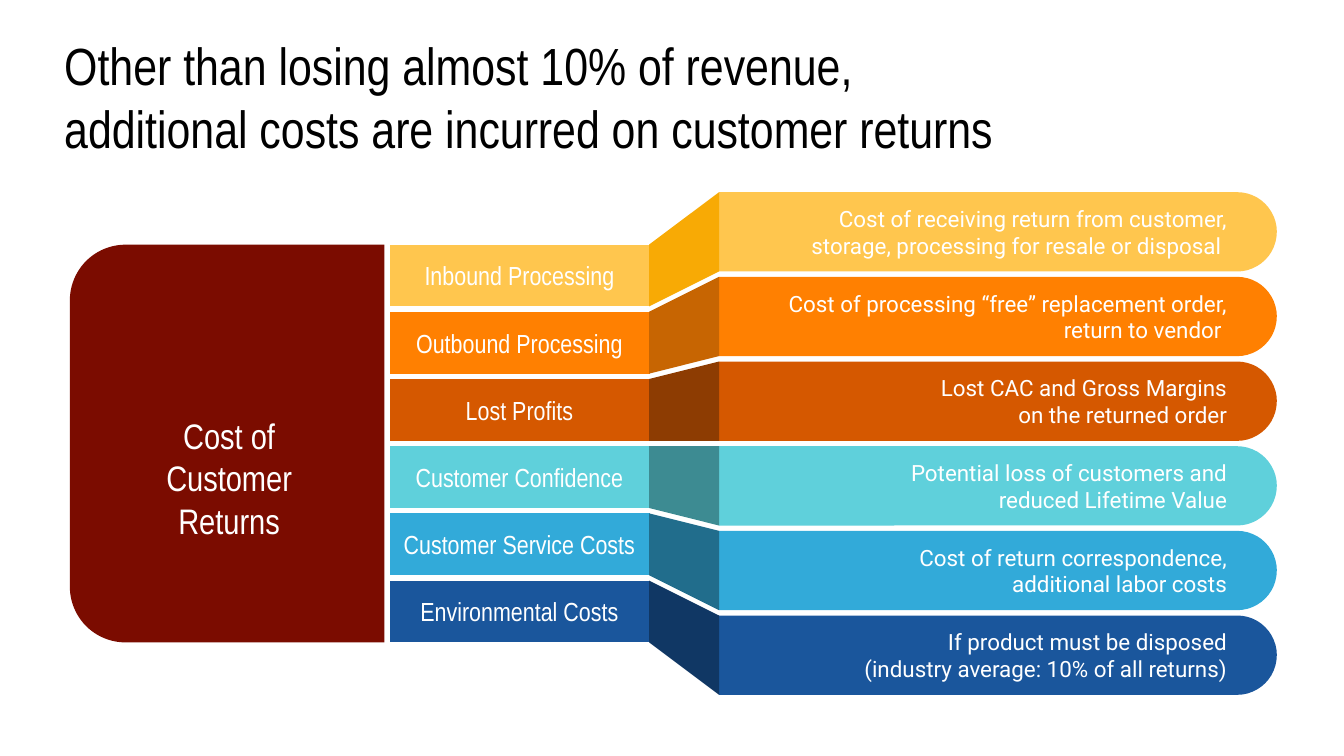
import pptx
import pptx.util
import pptx.dml.color
import pptx.enum.shapes
import pptx.enum.text

Inches = pptx.util.Inches
SHAPE = pptx.enum.shapes.MSO_SHAPE
ALIGN = pptx.enum.text.PP_ALIGN

# Content
TITLE = ["Other than losing almost 10% of revenue,",
         "additional costs are incurred on customer returns"]
ROOT = ["Cost of Customer Returns"]
# label, explanation lines, bar colour, fold colour
COSTS = [
    ("Inbound Processing",
     ["Cost of receiving return from customer,",
      "storage, processing for resale or disposal "], "FFC64E", "F8AA05"),
    ("Outbound Processing",
     ["Cost of processing “free” replacement order, return to vendor "],
     "FF8001", "C76502"),
    ("Lost Profits",
     ["Lost CAC and Gross Margins", "on the returned order"],
     "D55800", "8D3C02"),
    ("Customer Confidence",
     ["Potential loss of customers and", "reduced Lifetime Value"],
     "5FD0DB", "3D8B92"),
    ("Customer Service Costs",
     ["Cost of return correspondence,", "additional labor costs"],
     "32AAD9", "216D8C"),
    ("Environmental Costs",
     ["If product must be disposed", "(industry average: 10% of all returns)"],
     "1A569C", "103764"),
]

# Layout
LABEL_X, LABEL_W, LABEL_H = 2.9, 1.94, 0.46
LABEL_TOP, LABEL_STEP = 1.82, 0.5
PILL_X, PILL_W, PILL_H = 5.35, 4.15, 0.59
PILL_TOP, PILL_STEP = 1.43, 0.63
FOLD_X = 4.83

# 16:9 slide
prs = pptx.Presentation()
prs.slide_width = Inches(10)
prs.slide_height = prs.slide_width * 9 // 16
s = prs.slides.add_slide(prs.slide_layouts[6])


def rgb(color):
    return pptx.dml.color.RGBColor.from_string(color)


def paint(sp, color):
    sp.shadow.inherit = False
    sp.fill.solid()
    sp.fill.fore_color.rgb = rgb(color)
    sp.line.fill.background()


def add_rounded(x, y, w, h, rotation, radius, color):
    """Rectangle with two round corners, turned a quarter about its centre."""
    sp = s.shapes.add_shape(SHAPE.ROUND_2_SAME_RECTANGLE,
                            Inches(x + (w - h) / 2), Inches(y + (h - w) / 2),
                            Inches(h), Inches(w))
    paint(sp, color)
    sp.rotation = rotation
    sp.adjustments[0], sp.adjustments[1] = radius, 0


def add_polygon(points, color):
    pts = [(Inches(x), Inches(y)) for x, y in points]
    builder = s.shapes.build_freeform(*pts[0], scale=1.0)
    builder.add_line_segments(pts[1:], close=True)
    paint(builder.convert_to_shape(), color)


def add_text(lines, x, y, w, h, size, font, color, align, side=0.1):
    sp = s.shapes.add_textbox(Inches(x), Inches(y), Inches(w), Inches(h))
    tf = sp.text_frame
    tf.word_wrap = True
    tf.vertical_anchor = pptx.enum.text.MSO_ANCHOR.MIDDLE
    tf.margin_left = tf.margin_right = Inches(side)
    tf.margin_top = tf.margin_bottom = Inches(0.1)
    p = tf.paragraphs[0]
    p.alignment = align
    for i, line in enumerate(lines):
        if i:
            p.add_line_break()
        r = p.add_run()
        r.text = line
        r.font.size = pptx.util.Pt(size)
        r.font.name = font
        r.font.color.rgb = rgb(color)


# Title and root block; wide side margins wrap the root text to three lines
add_rounded(0.52, LABEL_TOP, 2.34, 2.96, 270, 0.177, "7B0C00")
add_text(TITLE, 0.38, 0.45, 9, 0.53, 28, "Arial Narrow", "000000", ALIGN.LEFT)
add_text(ROOT, 0.77, 3.26, 1.87, 0.59, 19, "Arial Narrow", "FFFFFF",
         ALIGN.CENTER, side=0.4)

# One row per cost: label bar, fold, pill
for i, (label, detail, color, fold) in enumerate(COSTS):
    y = LABEL_TOP + i * LABEL_STEP
    pill_y = PILL_TOP + i * PILL_STEP
    add_rounded(PILL_X, pill_y, PILL_W, PILL_H, 90, 0.5, color)
    add_polygon([(LABEL_X, y), (LABEL_X, y + LABEL_H),
                 (LABEL_X + LABEL_W, y + LABEL_H), (LABEL_X + LABEL_W, y)], color)
    add_polygon([(FOLD_X, y), (FOLD_X, y + LABEL_H),
                 (PILL_X, pill_y + PILL_H), (PILL_X, pill_y)], fold)
    add_text([label], LABEL_X - 0.03, y + 0.06, LABEL_W + 0.05, 0.34,
             14, "Arial Narrow", "FFFFFF", ALIGN.CENTER)
    add_text(detail, PILL_X + 0.01, pill_y, 3.87, PILL_H,
             12, "Roboto", "FFFFFF", ALIGN.RIGHT)

prs.save("out.pptx")
